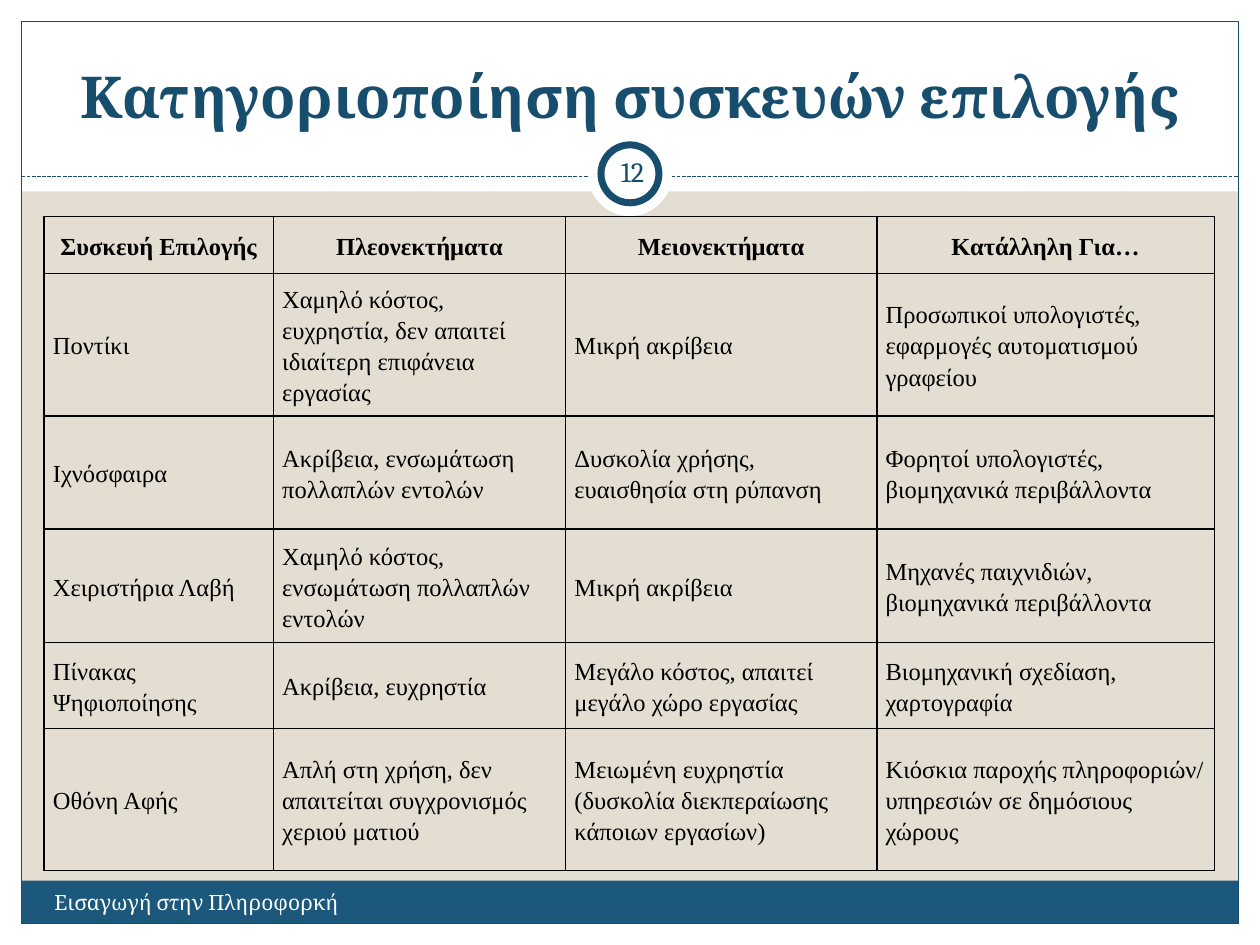
from lxml import etree
from pptx import Presentation
from pptx.dml.color import RGBColor
from pptx.enum.dml import MSO_LINE_DASH_STYLE as Dash
from pptx.enum.shapes import MSO_CONNECTOR_TYPE as Connector, MSO_SHAPE as Shape
from pptx.enum.text import MSO_VERTICAL_ANCHOR as Anchor, PP_PARAGRAPH_ALIGNMENT as Align
from pptx.oxml.ns import qn
from pptx.util import Inches, Pt

COLORS = {
    "sand": "E3DED1",
    "white": "FFFFFF",
    "band": "1B587C",
    "navy": "184E6D",
    "black": "000000",
}
WIDTH, HEIGHT = 10, 7.5
MARGIN = 0.17
RIGHT, BOTTOM = WIDTH - MARGIN, HEIGHT - MARGIN
HEADER_HEIGHT = 1.52
FOOTER_HEIGHT = 0.34
RULE_Y = 1.4
CENTER_X, BADGE_Y = WIDTH / 2, 1.38
TEXT_LEFT = WIDTH / 30


def rgb(name):
    return RGBColor.from_string(COLORS[name])


def write(frame, text, size, color, font="Cambria", bold=False, align=Align.LEFT,
          spacing=None, after=None):
    frame.word_wrap = True
    paragraph = frame.paragraphs[0]
    paragraph.alignment = align
    paragraph.line_spacing = spacing
    paragraph.space_after = after
    run = paragraph.add_run()
    run.text = text
    run.font.name = font
    run.font.size = Pt(size)
    run.font.bold = bold
    run.font.color.rgb = rgb(color)


deck = Presentation()
deck.slide_width, deck.slide_height = Inches(WIDTH), Inches(HEIGHT)
slide = deck.slides.add_slide(deck.slide_layouts[6])
slide.background.fill.solid()
slide.background.fill.fore_color.rgb = rgb("sand")

# Page frame, header, footer band and number badge, from back to front
decorations = [
    (Shape.RECTANGLE, (0, BOTTOM, WIDTH, MARGIN), "white", None),
    (Shape.RECTANGLE, (0, 0, WIDTH, HEADER_HEIGHT), "white", None),
    (Shape.RECTANGLE, (0, 0, MARGIN, HEIGHT), "white", None),
    (Shape.RECTANGLE, (RIGHT, 0, MARGIN, HEIGHT), "white", None),
    (Shape.RECTANGLE, (MARGIN, BOTTOM - FOOTER_HEIGHT, RIGHT - MARGIN, FOOTER_HEIGHT),
     "band", None),
    (Shape.RECTANGLE, (MARGIN, MARGIN, RIGHT - MARGIN, BOTTOM - MARGIN), None, 0.75),
    "rule",
]
for diameter, outline in ((0.67, None), (0.46, 4)):
    corner = (CENTER_X - diameter / 2, BADGE_Y - diameter / 2)
    decorations.append((Shape.OVAL, (*corner, diameter, diameter), "white", outline))

for decoration in decorations:
    if decoration == "rule":
        rule = slide.shapes.add_connector(
            Connector.STRAIGHT, Inches(MARGIN), Inches(RULE_Y), Inches(RIGHT), Inches(RULE_Y))
        rule.line.color.rgb = rgb("navy")
        rule.line.width = Pt(0.75)
        rule.line.dash_style = Dash.SQUARE_DOT
        etree.SubElement(rule.element.spPr, qn("a:effectLst"))
        continue
    kind, place, fill, outline = decoration
    panel = slide.shapes.add_shape(kind, *map(Inches, place))
    panel.shadow.inherit = False
    if fill:
        panel.fill.solid()
        panel.fill.fore_color.rgb = rgb(fill)
    else:
        panel.fill.background()
    if outline:
        panel.line.color.rgb = rgb("navy")
        panel.line.width = Pt(outline)
    else:
        panel.line.fill.background()

title = slide.shapes.add_textbox(
    Inches(TEXT_LEFT), Inches(0.25), Inches(WIDTH - 2 * TEXT_LEFT), Inches(0.83)).text_frame
title.vertical_anchor = Anchor.BOTTOM
write(title, "Κατηγοριοποίηση συσκευών επιλογής", 33, "navy", bold=True, align=Align.CENTER)

footer = slide.shapes.add_textbox(
    Inches(TEXT_LEFT), Inches(7.01), Inches(3.92), Inches(0.4)).text_frame
write(footer, "Εισαγωγή στην Πληροφορκή", 12, "white")

page_number = slide.shapes.add_textbox(
    Inches(4.77), Inches(1.12), Inches(0.5), Inches(0.48)).text_frame
page_number.vertical_anchor = Anchor.MIDDLE
page_number.margin_left = page_number.margin_right = Inches(0.05)
page_number.margin_top = page_number.margin_bottom = Inches(0.05)
write(page_number, "12", 16, "navy", align=Align.CENTER)

# Comparison of pointing devices
devices = [
    ("Συσκευή Επιλογής", "Πλεονεκτήματα", "Μειονεκτήματα", "Κατάλληλη Για…"),
    ("Ποντίκι",
     "Χαμηλό κόστος, ευχρηστία, δεν απαιτεί ιδιαίτερη επιφάνεια εργασίας",
     "Μικρή ακρίβεια",
     "Προσωπικοί υπολογιστές, εφαρμογές αυτοματισμού γραφείου"),
    ("Ιχνόσφαιρα",
     "Ακρίβεια, ενσωμάτωση πολλαπλών εντολών",
     "Δυσκολία χρήσης, ευαισθησία στη ρύπανση",
     "Φορητοί υπολογιστές, βιομηχανικά περιβάλλοντα"),
    ("Χειριστήρια Λαβή",
     "Χαμηλό κόστος, ενσωμάτωση πολλαπλών εντολών",
     "Μικρή ακρίβεια",
     "Μηχανές παιχνιδιών, βιομηχανικά περιβάλλοντα"),
    ("Πίνακας Ψηφιοποίησης",
     "Ακρίβεια, ευχρηστία",
     "Μεγάλο κόστος, απαιτεί μεγάλο χώρο εργασίας",
     "Βιομηχανική σχεδίαση, χαρτογραφία"),
    ("Οθόνη Αφής",
     "Απλή στη χρήση, δεν απαιτείται συγχρονισμός χεριού ματιού",
     "Μειωμένη ευχρηστία (δυσκολία διεκπεραίωσης κάποιων εργασίων)",
     "Κιόσκια παροχής πληροφοριών/ υπηρεσιών σε δημόσιους χώρους"),
]
column_widths = [1.82, 2.32, 2.47, 2.68]
row_heights = [0.45, 1.13, 0.9, 0.9, 0.68, 1.13]
comparison = slide.shapes.add_table(
    len(row_heights), len(column_widths), Inches(0.35), Inches(1.72),
    Inches(sum(column_widths)), Inches(sum(row_heights))).table
for column, width in zip(comparison.columns, column_widths):
    column.width = Inches(width)

for row, height, entries in zip(comparison.rows, row_heights, devices):
    row.height = Inches(height)
    heading = entries is devices[0]
    for cell, entry in zip(row.cells, entries):
        cell.vertical_anchor = Anchor.MIDDLE
        cell.margin_left = cell.margin_right = Inches(0.07)
        cell.margin_top = cell.margin_bottom = 0
        write(cell.text_frame, entry, 14, "black", font="Times New Roman", bold=heading,
              align=Align.CENTER if heading else Align.LEFT, spacing=1.15, after=Pt(10))
        properties = cell._tc.get_or_add_tcPr()
        for side in ("a:lnL", "a:lnR", "a:lnT", "a:lnB"):
            border = etree.SubElement(properties, qn(side), w=str(Pt(1)))
            ink = etree.SubElement(border, qn("a:solidFill"))
            etree.SubElement(ink, qn("a:srgbClr"), val=COLORS["black"])
        cell.fill.background()

deck.save("out.pptx")
